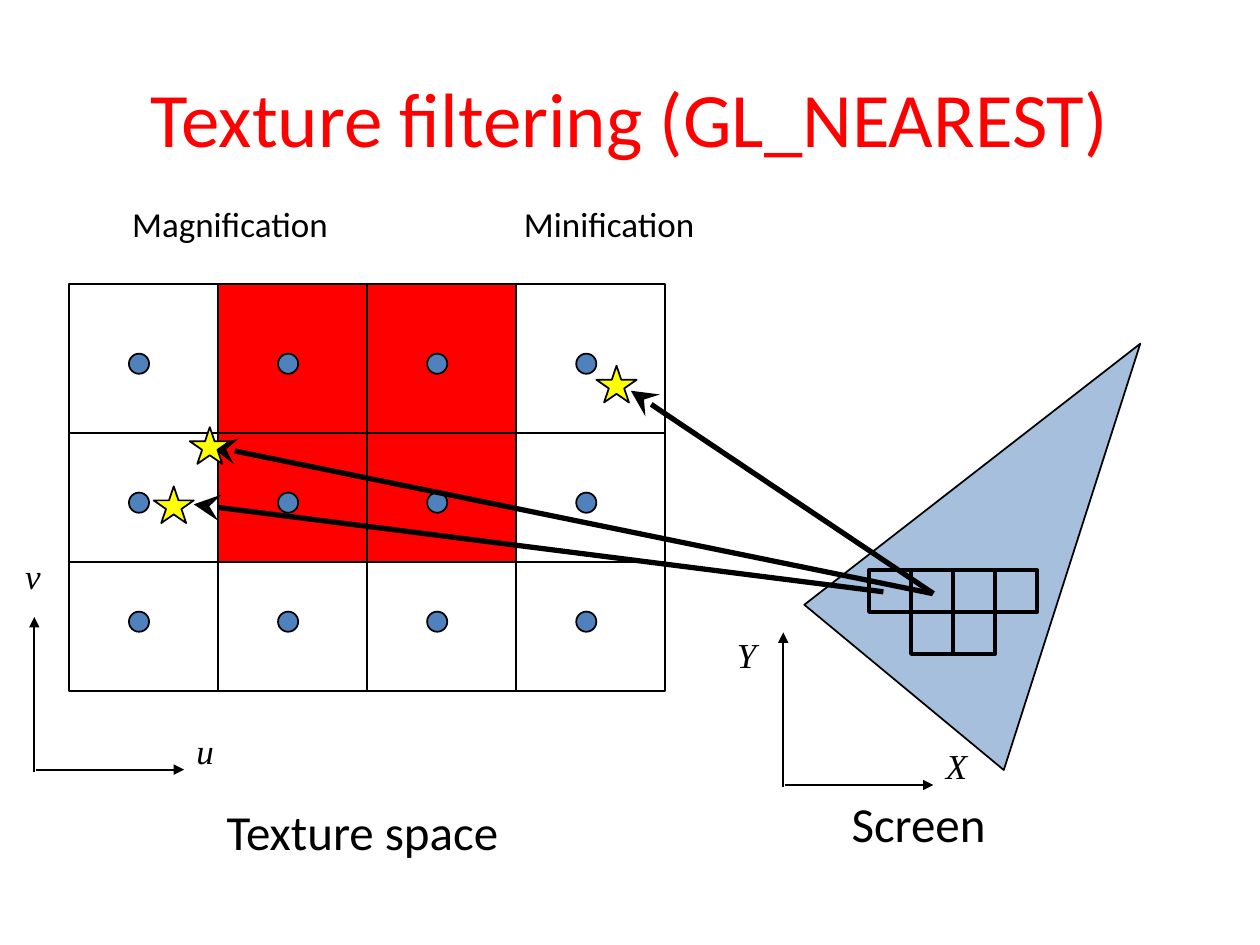
from dataclasses import dataclass
from itertools import product

from lxml import etree
from pptx import Presentation
from pptx.dml.color import RGBColor
from pptx.enum.shapes import MSO_CONNECTOR, MSO_SHAPE
from pptx.enum.text import MSO_ANCHOR, MSO_AUTO_SIZE, PP_ALIGN
from pptx.oxml.ns import qn
from pptx.util import Pt

RECT, DOT, STAR = MSO_SHAPE.RECTANGLE, MSO_SHAPE.OVAL, MSO_SHAPE.STAR_5_POINT
STRAIGHT = MSO_CONNECTOR.STRAIGHT
MIDDLE, CENTER = MSO_ANCHOR.MIDDLE, PP_ALIGN.CENTER
FIT_SHAPE = MSO_AUTO_SIZE.SHAPE_TO_FIT_TEXT


@dataclass(frozen=True)
class Theme:
    red: RGBColor = RGBColor(0xFF, 0x00, 0x00)
    blue: RGBColor = RGBColor(0x4F, 0x81, 0xBD)
    yellow: RGBColor = RGBColor(0xFF, 0xFF, 0x00)
    black: RGBColor = RGBColor(0x00, 0x00, 0x00)
    sans: str = "Calibri"
    serif: str = "Times New Roman"
    title: float = 44
    caption: float = 28
    label: float = 20
    thin: float = 1
    pixel_line: float = 2.25
    thick: float = 3


THEME = Theme()


@dataclass(frozen=True)
class Box:
    left: float
    top: float
    width: float
    height: float

    def lengths(self) -> list:
        return [Pt(v) for v in (self.left, self.top, self.width, self.height)]


@dataclass(frozen=True)
class Arrow:
    start: tuple[float, float]
    end: tuple[float, float]
    weight: float = THEME.thin
    head: str = "triangle"
    head_size: str = "med"


@dataclass(frozen=True)
class Label:
    text: str
    box: Box
    size: float = THEME.label
    axis: bool = False


AXIS_FONT = {"name": THEME.serif, "italic": True}
PLAIN_FONT = {"name": THEME.sans}


def set_format(target, values: dict) -> None:
    for name, value in values.items():
        setattr(target, name, value)


def style_shape(shape, fill: RGBColor | None, weight: float) -> None:
    shape.shadow.inherit = False
    if fill is None:
        shape.fill.background()
    else:
        shape.fill.solid()
        shape.fill.fore_color.rgb = fill
    shape.line.color.rgb = THEME.black
    shape.line.width = Pt(weight)


def add_figure(slide, kind, box: Box, fill: RGBColor | None = None,
               weight: float = THEME.thin) -> None:
    style_shape(slide.shapes.add_shape(kind, *box.lengths()), fill, weight)


def add_arrow(slide, arrow: Arrow) -> None:
    ends = [Pt(v) for v in (*arrow.start, *arrow.end)]
    connector = slide.shapes.add_connector(STRAIGHT, *ends)
    connector.line.color.rgb = THEME.black
    connector.line.width = Pt(arrow.weight)
    properties = connector.element.spPr
    etree.SubElement(properties.find(qn("a:ln")), qn("a:tailEnd"),
                     type=arrow.head, w=arrow.head_size, len=arrow.head_size)
    etree.SubElement(properties, qn("a:effectLst"))


def add_text(slide, text: str, box: Box, frame_format: dict, font_format: dict):
    frame = slide.shapes.add_textbox(*box.lengths()).text_frame
    set_format(frame, frame_format)
    paragraph = frame.paragraphs[0]
    run = paragraph.add_run()
    run.text = text
    run.font.color.rgb = THEME.black
    set_format(run.font, font_format)
    return paragraph


def add_label(slide, label: Label) -> None:
    face = AXIS_FONT if label.axis else PLAIN_FONT
    add_text(slide, label.text, label.box,
             {"word_wrap": False, "auto_size": FIT_SHAPE},
             {"size": Pt(label.size), **face})


def add_triangle(slide, corners: list[tuple[float, float]]) -> None:
    first, *others = [(Pt(x), Pt(y)) for x, y in corners]
    builder = slide.shapes.build_freeform(*first)
    builder.add_line_segments(others, close=True)
    triangle = builder.convert_to_shape()
    style_shape(triangle, THEME.blue, THEME.thin)
    color = triangle.element.spPr.find(qn("a:solidFill")).find(qn("a:srgbClr"))
    etree.SubElement(color, qn("a:alpha"), val="50000")


# Texture grid
GRID_LEFT, TEXEL_WIDTH, COLUMNS = 39.4, 85.2, 4
ROW_EDGES = [162.4, 247.4, 321.2, 394.8]
DOT_LEFT, DOT_TOPS, DOT_SIZE = 73.7, [202.1, 281.5, 349.5], 11.5

# Screen pixels as (column, row)
PIXEL_LEFT, PIXEL_TOP, PIXEL = 496.6, 325.7, 24
PIXELS = [(0, 0), (1, 0), (2, 0), (3, 0), (1, 1), (2, 1)]
TRIANGLE = [(573.6, 440), (459.6, 345.6), (651.6, 196.4)]

STAR_SIZE = (23, 21)
STAR_CORNERS = [(87.8, 277.9), (108.4, 244.1), (340.8, 209)]

SAMPLE_ARROWS = [
    Arrow(start, end, THEME.thick, "stealth", "lg")
    for start, end in [((504.8, 338.2), (110.7, 288.2)),
                       ((533, 339.2), (120.4, 254.9)),
                       ((533.4, 339.2), (360.5, 223.3))]
]
AXES = [
    Arrow((447.6, 449.8), (447.6, 361.4)),
    Arrow((448.4, 448.6), (533.4, 448.6)),
    Arrow((19.6, 441.2), (19.6, 352.6)),
    Arrow((20.6, 439.8), (105.2, 439.8)),
]
LABELS = [
    Label("Texture space", Box(122.4, 454.3, 171.4, 41), THEME.caption),
    Label("Screen", Box(479.5, 450, 92.2, 41), THEME.caption),
    Label("X", Box(533.5, 421.9, 28.8, 36), axis=True),
    Label("Y", Box(414, 358.6, 28.1, 36), axis=True),
    Label("u", Box(105.1, 413.3, 24.5, 31.7), axis=True),
    Label("v", Box(7.2, 313.2, 25.2, 36), axis=True),
    Label("Magnification", Box(68.4, 112.3, 151.9, 36)),
    Label("Minification", Box(292.3, 112.3, 135.4, 36)),
]


def draw_texture(slide) -> None:
    top, second, third, bottom = ROW_EDGES
    add_figure(slide, RECT, Box(GRID_LEFT + TEXEL_WIDTH, top,
                                2 * TEXEL_WIDTH, third - top), THEME.red)
    for column in range(COLUMNS):
        add_figure(slide, RECT, Box(GRID_LEFT + column * TEXEL_WIDTH, top,
                                    TEXEL_WIDTH, bottom - top))
    add_figure(slide, RECT, Box(GRID_LEFT, second,
                                COLUMNS * TEXEL_WIDTH, third - second))
    for dot_top, column in product(DOT_TOPS, range(COLUMNS)):
        add_figure(slide, DOT, Box(DOT_LEFT + column * TEXEL_WIDTH, dot_top,
                                   DOT_SIZE, DOT_SIZE), THEME.blue)


def draw_screen(slide) -> None:
    add_triangle(slide, TRIANGLE)
    for column, row in PIXELS:
        add_figure(slide, RECT, Box(PIXEL_LEFT + column * PIXEL,
                                    PIXEL_TOP + row * PIXEL, PIXEL, PIXEL),
                   weight=THEME.pixel_line)


def main() -> None:
    deck = Presentation()
    deck.slide_width, deck.slide_height = Pt(720), Pt(540)
    slide = deck.slides.add_slide(deck.slide_layouts[6])

    # Title
    title = add_text(slide, "Texture filtering (GL_NEAREST)", Box(36, 21.6, 648, 90),
                     {"word_wrap": True, "vertical_anchor": MIDDLE},
                     {"size": Pt(THEME.title), "name": THEME.sans})
    title.alignment = CENTER
    title.runs[0].font.color.rgb = THEME.red

    # Texture and screen, then axes, samples and labels on top
    draw_texture(slide)
    draw_screen(slide)
    for arrow in AXES + SAMPLE_ARROWS:
        add_arrow(slide, arrow)
    for left, top in STAR_CORNERS:
        add_figure(slide, STAR, Box(left, top, *STAR_SIZE), THEME.yellow)
    for label in LABELS:
        add_label(slide, label)

    deck.save("out.pptx")


if __name__ == "__main__":
    main()
